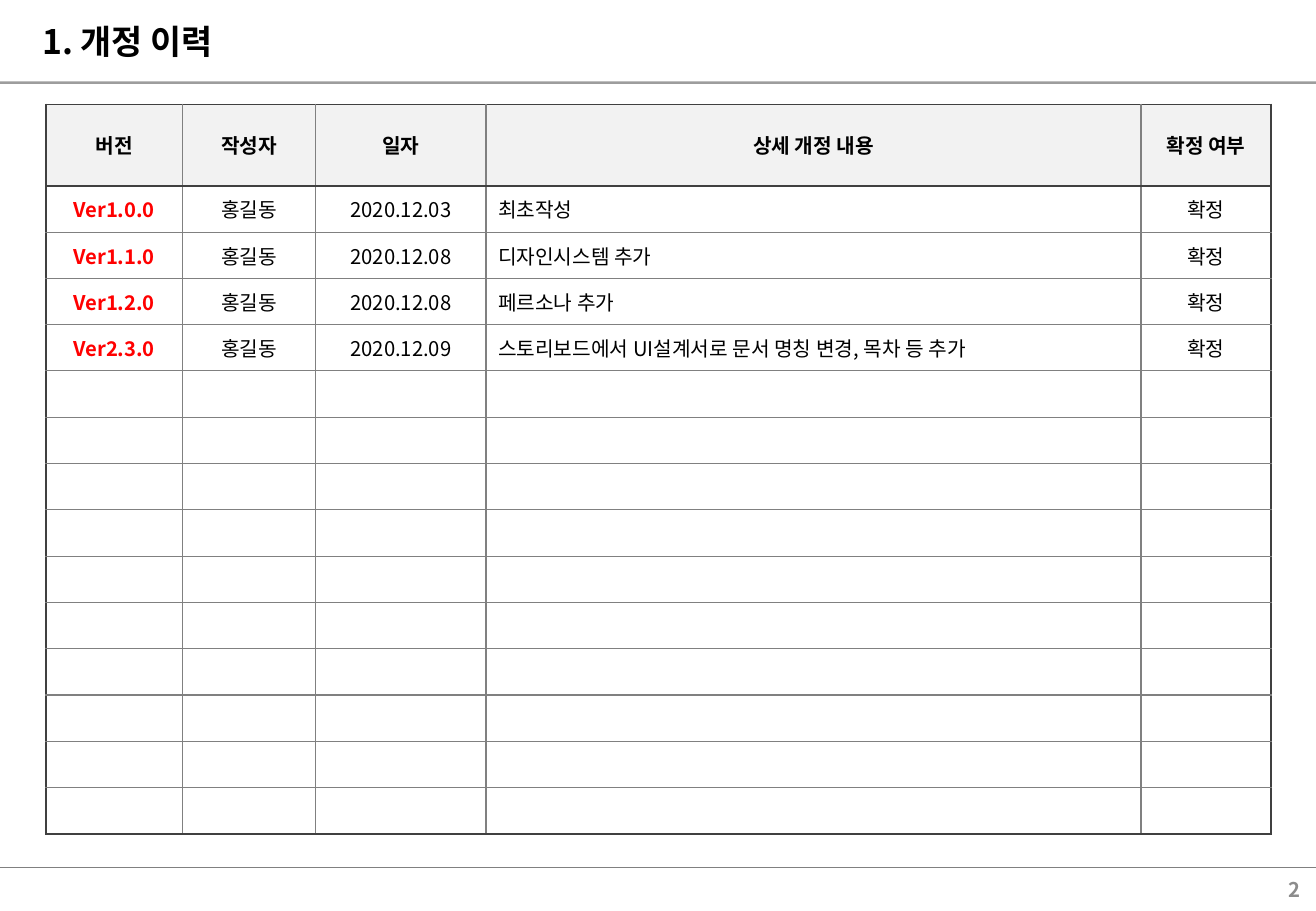
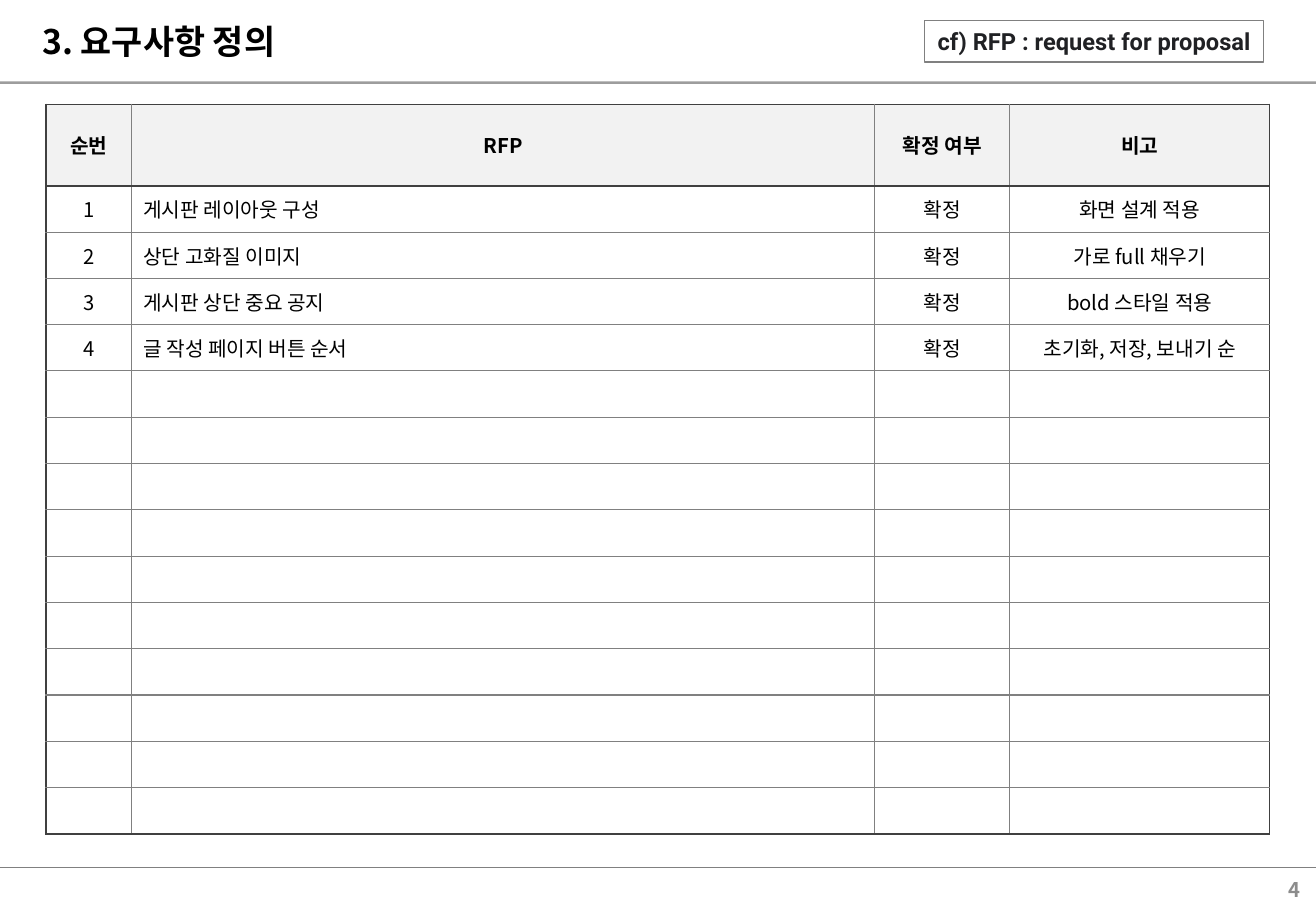
from lxml.etree import SubElement
from pptx import Presentation
from pptx.dml.color import RGBColor
from pptx.enum.shapes import MSO_CONNECTOR, MSO_SHAPE
from pptx.enum.text import MSO_ANCHOR, MSO_AUTO_SIZE, PP_ALIGN
from pptx.oxml.ns import qn
from pptx.util import Inches, Pt

BLACK = RGBColor(0x00, 0x00, 0x00)
RED = RGBColor(0xFF, 0x00, 0x00)
INK = RGBColor(0x20, 0x21, 0x24)
GRAY = RGBColor(0x80, 0x80, 0x80)
DARK = RGBColor(0x40, 0x40, 0x40)
PAGE_GRAY = RGBColor(0x8C, 0x8C, 0x8C)
HEADER_FILL = RGBColor(0xF2, 0xF2, 0xF2)

FONT = "Noto Sans CJK KR"
ROWS = 15
HEADER_H = 0.67
TABLE_H = 6.01
ROW_H = (TABLE_H - HEADER_H) / (ROWS - 1)

PAGES = [
    dict(
        title="1. 개정 이력", number="2", note=None,
        widths=[1.12, 1.1, 1.4, 5.39, 1.07], left_col=3, version_col=0,
        rows=[
            ["버전", "작성자", "일자", "상세 개정 내용", "확정 여부"],
            ["Ver1.0.0", "홍길동", "2020.12.03", "최초작성", "확정"],
            ["Ver1.1.0", "홍길동", "2020.12.08", "디자인시스템 추가", "확정"],
            ["Ver1.2.0", "홍길동", "2020.12.08", "페르소나 추가", "확정"],
            ["Ver2.3.0", "홍길동", "2020.12.09",
             "스토리보드에서 UI설계서로 문서 명칭 변경, 목차 등 추가", "확정"],
        ],
    ),
    dict(
        title="3. 요구사항 정의", number="4", note="cf) RFP : request for proposal",
        widths=[0.7, 6.12, 1.11, 2.14], left_col=1, version_col=None,
        rows=[
            ["순번", "RFP", "확정 여부", "비고"],
            ["1", "게시판 레이아웃 구성", "확정", "화면 설계 적용"],
            ["2", "상단 고화질 이미지", "확정", "가로 full 채우기"],
            ["3", "게시판 상단 중요 공지", "확정", "bold 스타일 적용"],
            ["4", "글 작성 페이지 버튼 순서", "확정", "초기화, 저장, 보내기 순"],
        ],
    ),
]


def write(tf, text, size=12, color=BLACK, bold=False, align=PP_ALIGN.LEFT, font=FONT):
    p = tf.paragraphs[0]
    p.alignment = align
    if not text:
        # An empty cell keeps the small size so its row does not grow
        p._p.get_or_add_endParaRPr().set("sz", str(size * 100))
        return
    r = p.add_run()
    r.text = text
    r.font.size = Pt(size)
    r.font.bold = bold
    r.font.color.rgb = color
    r.font.name = font
    SubElement(r._r.get_or_add_rPr(), qn("a:ea"), typeface=font)


def set_border(cell, side, color, width):
    ln = SubElement(cell._tc.get_or_add_tcPr(), qn(f"a:ln{side}"), w=str(Pt(width)))
    fill = SubElement(ln, qn("a:solidFill"))
    SubElement(fill, qn("a:srgbClr"), val=str(color))


prs = Presentation()
prs.slide_width = Inches(10.83)
prs.slide_height = Inches(7.5)

for page in PAGES:
    s = prs.slides.add_slide(prs.slide_layouts[6])

    # Header and footer rules
    for y, width, alpha in [(7.14, 0.75, 100), (0.68, 1.5, 76)]:
        rule = s.shapes.add_connector(MSO_CONNECTOR.STRAIGHT, 0, Inches(y),
                                      prs.slide_width, Inches(y))
        rule.line.color.rgb = GRAY
        rule.line.width = Pt(width)
        clr = rule.line._ln.find(".//" + qn("a:srgbClr"))
        SubElement(clr, qn("a:alpha"), val=str(alpha * 1000))
        SubElement(rule._element.spPr, qn("a:effectLst"))

    # Title and page number
    for box, text, fmt in [
        ((0.25, 0.09, 10.43, 0.49), page["title"], dict(size=20, bold=True)),
        ((8.36, 7.17, 2.44, 0.31), page["number"],
         dict(color=PAGE_GRAY, bold=True, align=PP_ALIGN.RIGHT)),
    ]:
        tf = s.shapes.add_textbox(*map(Inches, box)).text_frame
        tf.word_wrap = True
        tf.vertical_anchor = MSO_ANCHOR.MIDDLE
        write(tf, text, **fmt)

    # Table
    widths = page["widths"]
    cols = len(widths)
    table = s.shapes.add_table(ROWS, cols, Inches(0.38), Inches(0.86),
                               Inches(sum(widths)), Inches(TABLE_H)).table
    table.horz_banding = False
    for col, width in zip(table.columns, widths):
        col.width = Inches(width)
    for i, row in enumerate(table.rows):
        row.height = Inches(ROW_H if i else HEADER_H)
        texts = page["rows"][i] if i < len(page["rows"]) else [""] * cols
        for j, text in enumerate(texts):
            cell = table.cell(i, j)
            cell.vertical_anchor = MSO_ANCHOR.MIDDLE
            # Dark lines round the table and under the header
            for side, dark in [("L", j == 0), ("R", j == cols - 1),
                               ("T", i <= 1), ("B", i in (0, ROWS - 1))]:
                set_border(cell, side, *((DARK, 1) if dark else (GRAY, 0.75)))
            if i == 0:
                cell.fill.solid()
                cell.fill.fore_color.rgb = HEADER_FILL
            else:
                cell.fill.background()
            version = i > 0 and j == page["version_col"]
            left = i > 0 and j == page["left_col"]
            write(cell.text_frame, text, color=RED if version else BLACK,
                  bold=i == 0 or version,
                  align=PP_ALIGN.LEFT if left else PP_ALIGN.CENTER)
    table.first_row = False

    # Note beside the title
    if page["note"]:
        sp = s.shapes.add_shape(MSO_SHAPE.RECTANGLE, Inches(7.61), Inches(0.17),
                                Inches(2.79), Inches(0.34))
        sp.shadow.inherit = False
        sp.fill.background()
        sp.line.color.rgb = GRAY
        sp.line.width = Pt(0.75)
        tf = sp.text_frame
        tf.word_wrap = False
        tf.auto_size = MSO_AUTO_SIZE.SHAPE_TO_FIT_TEXT
        write(tf, page["note"], size=14, color=INK, bold=True,
              align=PP_ALIGN.CENTER, font="Roboto")

prs.save("out.pptx")
